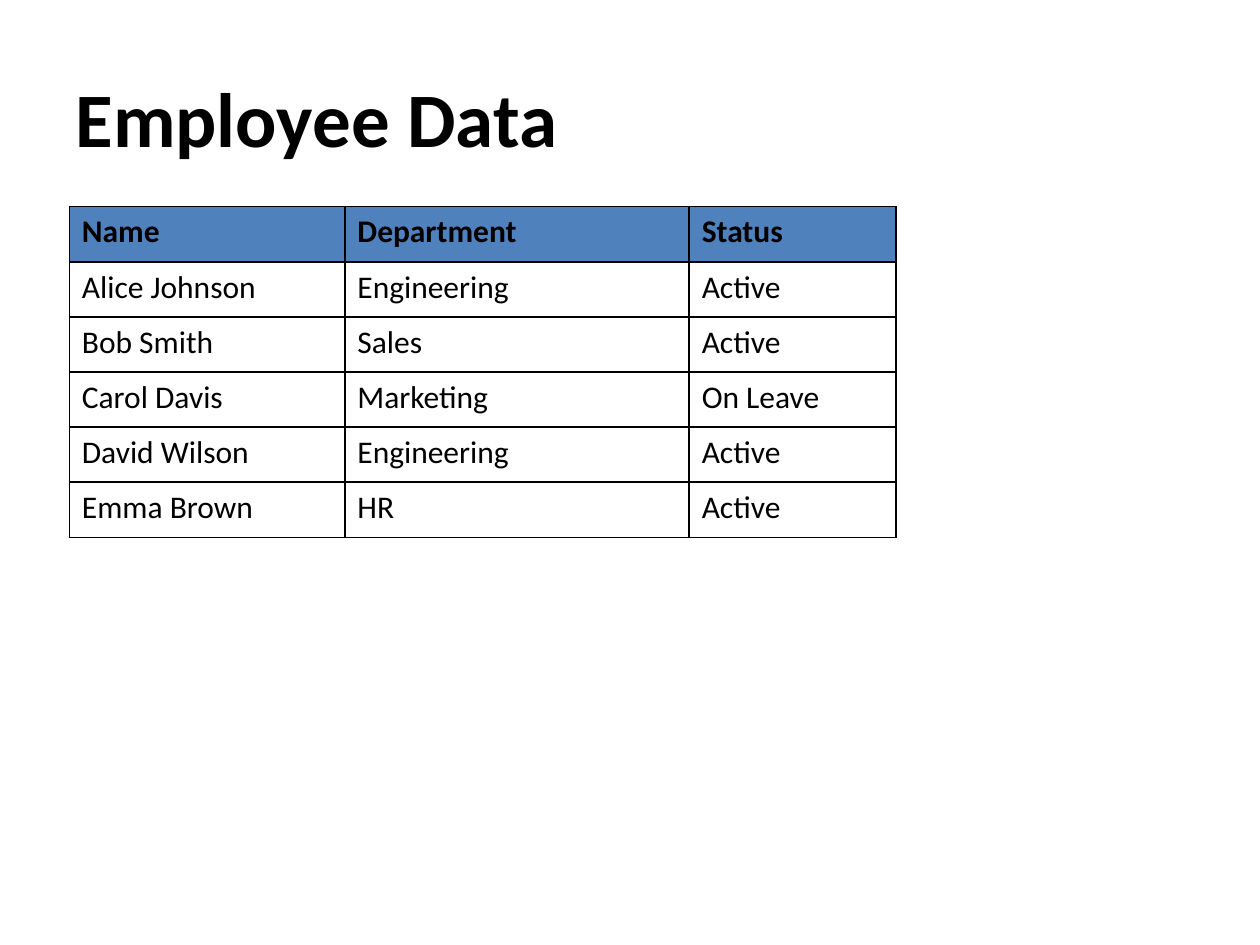
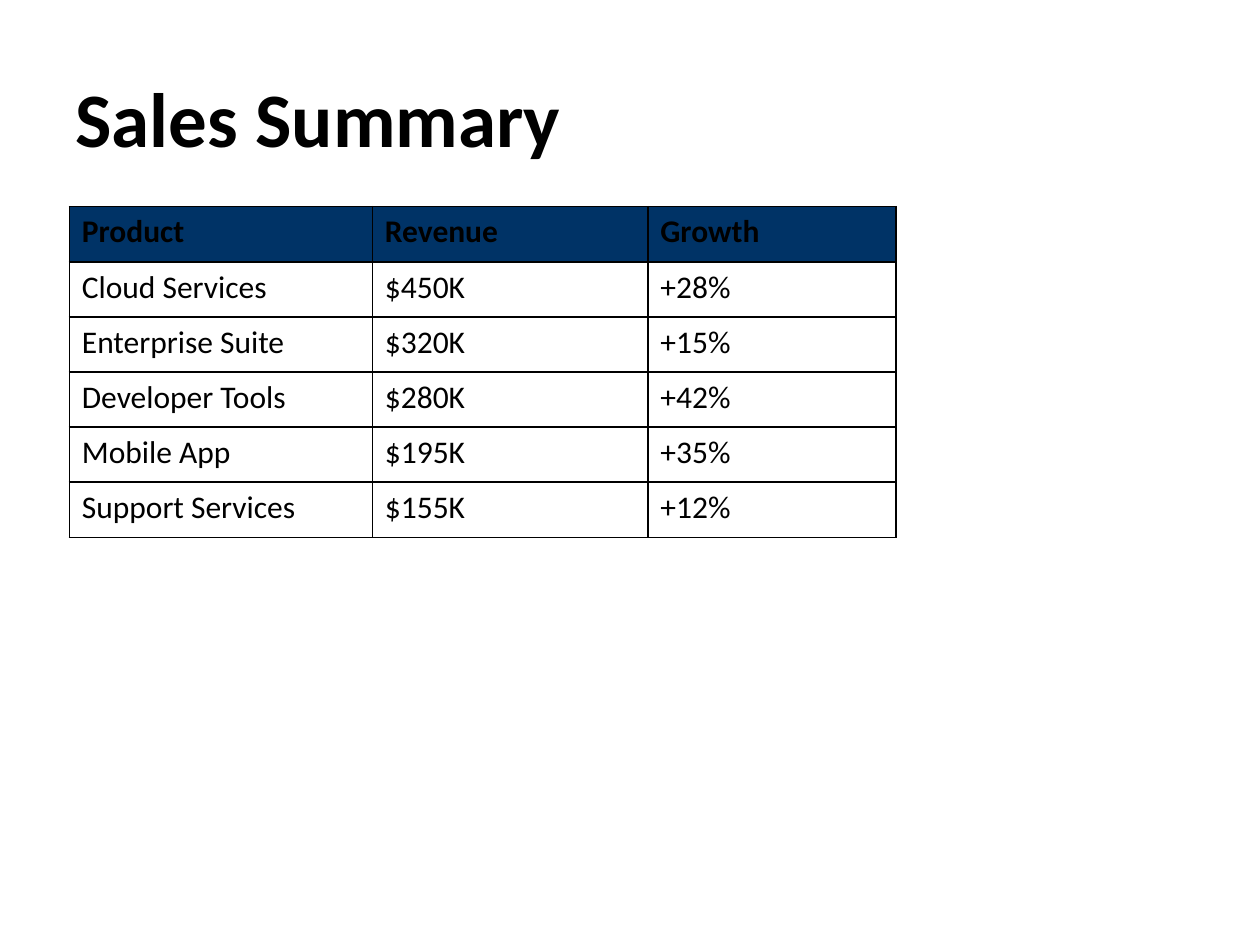
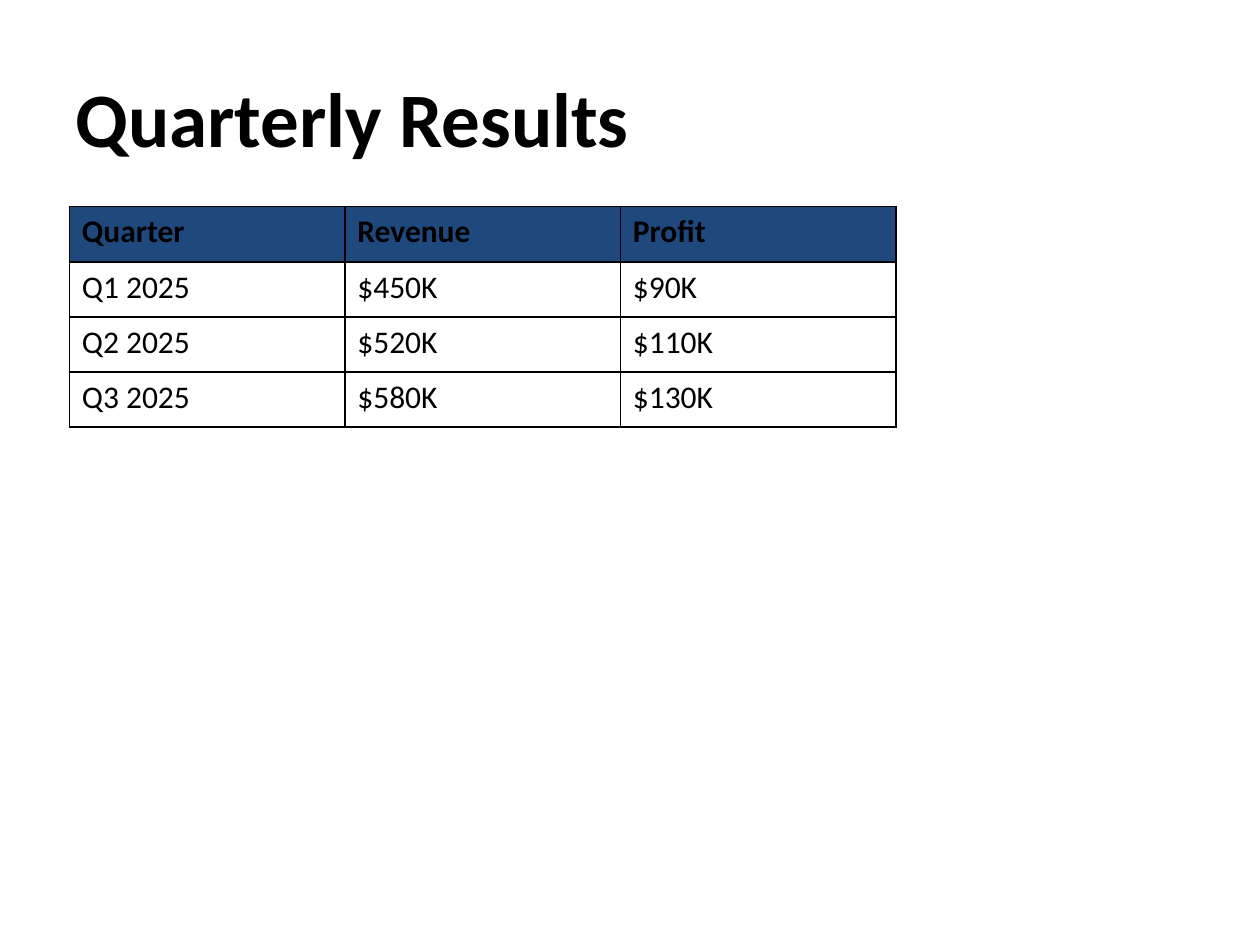
"""Build three slides, each with a title and a ruled table."""
from dataclasses import dataclass

from lxml import etree
from pptx import Presentation
from pptx.dml.color import RGBColor
from pptx.enum.text import MSO_ANCHOR, PP_ALIGN
from pptx.oxml.ns import qn
from pptx.util import Inches, Pt

LEFT = PP_ALIGN.LEFT
MIDDLE = MSO_ANCHOR.MIDDLE
TITLE_ONLY = 5
WIDTH, HEIGHT = Inches(10), Inches(7.5)
TABLE_LEFT, TABLE_TOP = Inches(0.55), Inches(1.64)
UNIT = Inches(6.56) / 60
ROW = Inches(7 / 16)


@dataclass(frozen=True)
class Theme:
    """Colours, font and type sizes shared by the slides."""
    font: str = "Calibri"
    ink: str = "000000"
    blue: str = "4F81BD"
    navy: str = "003366"
    dark: str = "1F497D"
    title: int = 44
    body: int = 18
    rule: int = 1


THEME = Theme()

STAFF = [
    ("Name", "Department", "Status"),
    ("Alice Johnson", "Engineering", "Active"),
    ("Bob Smith", "Sales", "Active"),
    ("Carol Davis", "Marketing", "On Leave"),
    ("David Wilson", "Engineering", "Active"),
    ("Emma Brown", "HR", "Active"),
]
SALES = [
    ("Product", "Revenue", "Growth"),
    ("Cloud Services", "$450K", "+28%"),
    ("Enterprise Suite", "$320K", "+15%"),
    ("Developer Tools", "$280K", "+42%"),
    ("Mobile App", "$195K", "+35%"),
    ("Support Services", "$155K", "+12%"),
]
QUARTERS = [
    ("Quarter", "Revenue", "Profit"),
    ("Q1 2025", "$450K", "$90K"),
    ("Q2 2025", "$520K", "$110K"),
    ("Q3 2025", "$580K", "$130K"),
]


def write(frame, text, size, bold):
    """Put one left-aligned line of text in a frame."""
    frame.text = text
    para = frame.paragraphs[0]
    para.alignment = LEFT
    font = para.runs[0].font
    font.name, font.size, font.bold = THEME.font, Pt(size), bold
    font.color.rgb = RGBColor.from_string(THEME.ink)


def add_title(slide, text):
    """Place and format the slide's title."""
    title = slide.shapes.title
    title.left, title.top = int(WIDTH * 0.05), int(HEIGHT * 0.04)
    title.width, title.height = int(WIDTH * 0.9), Inches(1.25)
    write(title.text_frame, text, THEME.title, True)
    title.text_frame.vertical_anchor = MIDDLE


def add_rules(cell):
    """Draw a thin line on all four sides of a cell."""
    props = cell._tc.get_or_add_tcPr()
    for side in ("a:lnL", "a:lnR", "a:lnT", "a:lnB"):
        line = etree.SubElement(props, qn(side), w=str(Pt(THEME.rule)))
        fill = etree.SubElement(line, qn("a:solidFill"))
        etree.SubElement(fill, qn("a:srgbClr"), val=THEME.ink)


def add_grid(slide, rows, units, tint):
    """Add a table whose first row is bold on a tint."""
    frame = slide.shapes.add_table(
        len(rows), len(units), TABLE_LEFT, TABLE_TOP,
        int(UNIT * sum(units)), ROW * len(rows))
    table = frame.table
    table.first_row = table.horz_banding = False
    for col, share in zip(table.columns, units):
        col.width = int(UNIT * share)
    for r, row in enumerate(rows):
        table.rows[r].height = ROW
        for c, text in enumerate(row):
            cell = table.cell(r, c)
            write(cell.text_frame, text, THEME.body, r == 0)
            add_rules(cell)
            if r == 0:
                cell.fill.solid()
                cell.fill.fore_color.rgb = RGBColor.from_string(tint)
            else:
                cell.fill.background()


def main():
    """Build and save the deck."""
    deck = Presentation()
    deck.slide_width, deck.slide_height = WIDTH, HEIGHT
    for title, rows, units, tint in (
        ("Employee Data", STAFF, (20, 25, 15), THEME.blue),
        ("Sales Summary", SALES, (22, 20, 18), THEME.navy),
        ("Quarterly Results", QUARTERS, (20, 20, 20), THEME.dark),
    ):
        slide = deck.slides.add_slide(deck.slide_layouts[TITLE_ONLY])
        add_title(slide, title)
        add_grid(slide, rows, units, tint)
    deck.save("out.pptx")


if __name__ == "__main__":
    main()
